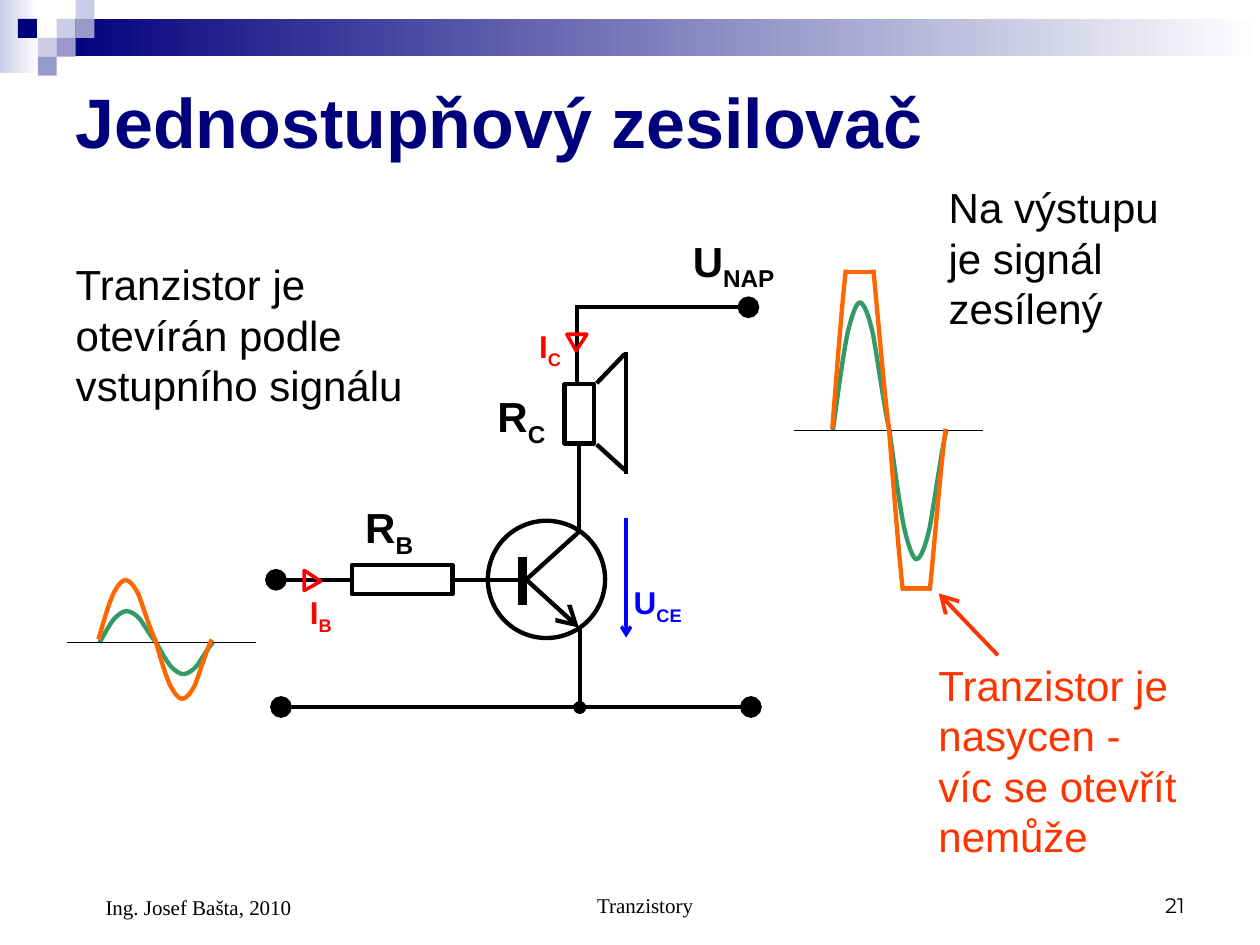
from lxml import etree
from pptx import Presentation
from pptx.dml.color import RGBColor
from pptx.enum import shapes, text
from pptx.oxml import ns
from pptx.util import Pt

NAVY = RGBColor(0x00, 0x00, 0x7D)
MID = RGBColor(0x99, 0x99, 0xCC)
PALE = RGBColor(0xCC, 0xCC, 0xE6)
WHITE = RGBColor(0xFF, 0xFF, 0xFF)
BLACK = RGBColor(0x00, 0x00, 0x00)
RED = RGBColor(0xFF, 0x00, 0x00)
BLUE = RGBColor(0x00, 0x00, 0xFF)
GREEN = RGBColor(0x33, 0x99, 0x66)
ORANGE = RGBColor(0xFF, 0x66, 0x00)
ALERT = RGBColor(0xFF, 0x33, 0x00)

KIND = shapes.MSO_SHAPE
ANCHOR = text.MSO_ANCHOR
ALIGN = text.PP_ALIGN

# Half wave as Bezier control points, three to a curve, in parts of its size
HALF = ((0.09, 0.29), (0.18, 0.59), (0.26, 0.76),
        (0.33, 0.89), (0.41, 1), (0.48, 1),
        (0.55, 0.99), (0.63, 0.91), (0.71, 0.75),
        (0.78, 0.58), (0.93, 0.12), (1, 0))
SPAN = 32.4


def block(slide, x, y, w, h, *tints):
    """Borderless rectangle: one tint is solid, two fade from left to right."""
    box = slide.shapes.add_shape(KIND.RECTANGLE, Pt(x), Pt(y), Pt(w), Pt(h))
    box.shadow.inherit = False
    box.line.fill.background()
    if len(tints) == 1:
        box.fill.solid()
        box.fill.fore_color.rgb = tints[0]
    else:
        box.fill.gradient()
        box.fill.gradient_angle = 0
        for stop, tint in zip(box.fill.gradient_stops, tints):
            stop.color.rgb = tint


def pen(shape, color, width):
    shape.line.color.rgb = color
    shape.line.width = Pt(width)


def part(slide, kind, x, y, w, h, color=BLACK, width=2.5, turn=0):
    """Unfilled outline of a circuit part."""
    item = slide.shapes.add_shape(kind, Pt(x), Pt(y), Pt(w), Pt(h))
    item.shadow.inherit = False
    item.fill.background()
    item.rotation = turn
    pen(item, color, width)
    return item


def wire(slide, x1, y1, x2, y2, color=BLACK, width=2.5,
         head=None, tail=None, size="med", start=None, end=None):
    """Straight line with optional line ends and joints (shape, side)."""
    line = slide.shapes.add_connector(
        shapes.MSO_CONNECTOR.STRAIGHT, Pt(x1), Pt(y1), Pt(x2), Pt(y2))
    if start:
        line.begin_connect(*start)
    if end:
        line.end_connect(*end)
    pen(line, color, width)
    ln = line.line._get_or_add_ln()
    for tag, form in (("a:headEnd", head), ("a:tailEnd", tail)):
        if form:
            etree.SubElement(ln, ns.qn(tag), type=form, w=size, len=size)
    etree.SubElement(line._element.spPr, ns.qn("a:effectLst"))


def arc(slide, x, y, high, color):
    """Curved half wave; a negative height hangs below the axis."""
    build = slide.shapes.build_freeform(Pt(x), Pt(y))
    build.add_line_segments(
        [(Pt(x + SPAN * dx), Pt(y - high * dy)) for dx, dy in HALF], close=False)
    curve = build.convert_to_shape()
    curve.shadow.inherit = False
    curve.fill.background()
    pen(curve, color, 2.5)
    # Join each three straight steps into one Bezier curve
    steps = list(curve._element.iter(ns.qn("a:lnTo")))
    for i in range(0, len(steps), 3):
        bend = etree.Element(ns.qn("a:cubicBezTo"))
        steps[i].addprevious(bend)
        for step in steps[i:i + 3]:
            bend.append(step[0])
            step.getparent().remove(step)


def wave(slide, x, y, high, color):
    arc(slide, x, y, high, color)
    arc(slide, x + SPAN, y, -high, color)


def write(slide, words, x, y, w, h, size=24, color=BLACK, bold=False,
          face="Arial", align=ALIGN.LEFT, anchor=ANCHOR.TOP, sub=None):
    """Text box; sub is added as a subscript."""
    frame = slide.shapes.add_textbox(Pt(x), Pt(y), Pt(w), Pt(h)).text_frame
    frame.word_wrap = True
    frame.vertical_anchor = anchor
    para = frame.paragraphs[0]
    para.text = words
    para.alignment = align
    font = para.font
    font.name, font.size, font.bold = face, Pt(size), bold
    font.color.rgb = color
    if sub:
        run = para.add_run()
        run.text = sub
        run._r.get_or_add_rPr().set("baseline", "-25000")


def banner(slide):
    block(slide, 0, 0, 22, 42, PALE, WHITE)
    block(slide, 32.4, 10.8, 687.6, 21.3, NAVY, WHITE)
    side = 10.8
    for col, row, tint in ((3, 1, PALE), (4, 0, PALE), (4, 1, MID), (2, 2, PALE),
                           (0.95, 1, NAVY), (3, 2, MID), (2, 3, MID)):
        block(slide, col * side, row * side, side, side, tint)


def signals(slide):
    # Weak input and output
    wave(slide, 56.9, 367.2, 18, GREEN)
    wire(slide, 38.2, 367.2, 146.2, 367.2, width=0.75)
    wave(slide, 475.9, 246.2, 73.4, GREEN)
    wire(slide, 453.6, 246.2, 561.6, 246.2, width=0.75)

    # Strong input and output
    wave(slide, 56.2, 365.4, 34, ORANGE)
    wave(slide, 475.6, 245, 127.4, ORANGE)

    # Cut the output peaks flat
    for x, y, top in ((483.8, 155.5, 110.2), (515.5, 336.2, 337.7)):
        wire(slide, x, y, x + 16.8, y, ORANGE)
        block(slide, x - 6, top, SPAN, 43.9, WHITE)


def circuit(slide):
    # Resistor, speaker and transistor outlines
    base = part(slide, KIND.RECTANGLE, 201, 323, 57.6, 16.6)
    load = part(slide, KIND.RECTANGLE, 322.7, 219.6, 16.6, 33.8)
    part(slide, KIND.OVAL, 278.8, 297.6, 67, 67)

    # Supply, ground and input wires
    wire(slide, 160.6, 404, 429.1, 404, head="oval", tail="oval", size="lg")
    wire(slide, 329.4, 175.6, 427.7, 175.6, tail="oval", size="lg")
    wire(slide, 329.7, 218.5, 329.7, 174.4)
    wire(slide, 331, 253.4, 331, 303, start=(load, 2))
    wire(slide, 157.7, 331.3, 201, 331.3, head="oval", size="lg", end=(base, 1))
    wire(slide, 258.6, 331.3, 298, 331.3, start=(base, 3))
    wire(slide, 331.3, 404.3, 331.3, 358.6, head="oval")

    # Transistor electrodes
    wire(slide, 298.5, 318.2, 298.5, 345.6, width=5)
    wire(slide, 299.8, 332, 331, 303.8)
    wire(slide, 300.8, 331.3, 330.8, 358.6, tail="arrow", size="lg")

    # Speaker cone
    wire(slide, 357.8, 270.7, 357.8, 200.9)
    wire(slide, 341, 219, 357, 202.3)
    wire(slide, 341, 254, 357, 268.6)

    # Current and voltage arrows
    for x, y, turn in ((172.8, 327, 90), (323.9, 191, 180)):
        flow = part(slide, KIND.ISOSCELES_TRIANGLE, x, y, 11.5, 9.4, RED, 2, turn)
        flow.adjustments[0] = 0.54
    wire(slide, 357.8, 296, 357.8, 364.3, BLUE, 2, tail="arrow")

    # Labels
    for sign, sub, x, y, w, size, color in (
            ("I", "C", 301, 183.6, 30.2, 18, RED),
            ("I", "B", 170, 335.5, 30.2, 18, RED),
            ("U", "CE", 355, 329.8, 49, 18, BLUE),
            ("U", "NAP", 388.8, 131, 70, 24, BLACK),
            ("R", "B", 201.6, 283.2, 54, 24, BLACK),
            ("R", "C", 277.2, 219.6, 45.4, 24, BLACK)):
        write(slide, sign, x, y, w, size * 1.7, size, color, True, sub=sub)


def main():
    deck = Presentation()
    deck.slide_width, deck.slide_height = Pt(720), Pt(540)
    slide = deck.slides.add_slide(deck.slide_layouts[6])

    banner(slide)
    write(slide, "Jednostupňový zesilovač", 36, 36, 648, 66, 40, NAVY, True,
          anchor=ANCHOR.MIDDLE)
    signals(slide)

    # Remarks
    write(slide, "Tranzistor je nasycen -\vvíc se otevřít nemůže",
          529.2, 373.3, 158.4, 122.4, color=ALERT)
    write(slide, "Tranzistor je otevírán podle vstupního signálu",
          36.2, 144.3, 234, 93.6)
    write(slide, "Na výstupu je signál zesílený", 535, 100.3, 142, 93.6)
    wire(slide, 570.2, 374.4, 536.4, 339.1, ALERT, 2.25, tail="arrow", size="lg")

    circuit(slide)

    # Footer
    for words, x, w, h, face, align in (
            ("Tranzistory", 263.2, 211, 36, "Times New Roman", ALIGN.CENTER),
            ("21", 516.2, 167.8, 36, "Montserrat", ALIGN.RIGHT),
            ("Ing. Josef Bašta, 2010", 53.2, 150.5, 37.4, "Times New Roman", ALIGN.LEFT)):
        write(slide, words, x, 491.8, w, h, 12, face=face, align=align,
              anchor=ANCHOR.BOTTOM)

    deck.save("out.pptx")


if __name__ == "__main__":
    main()
